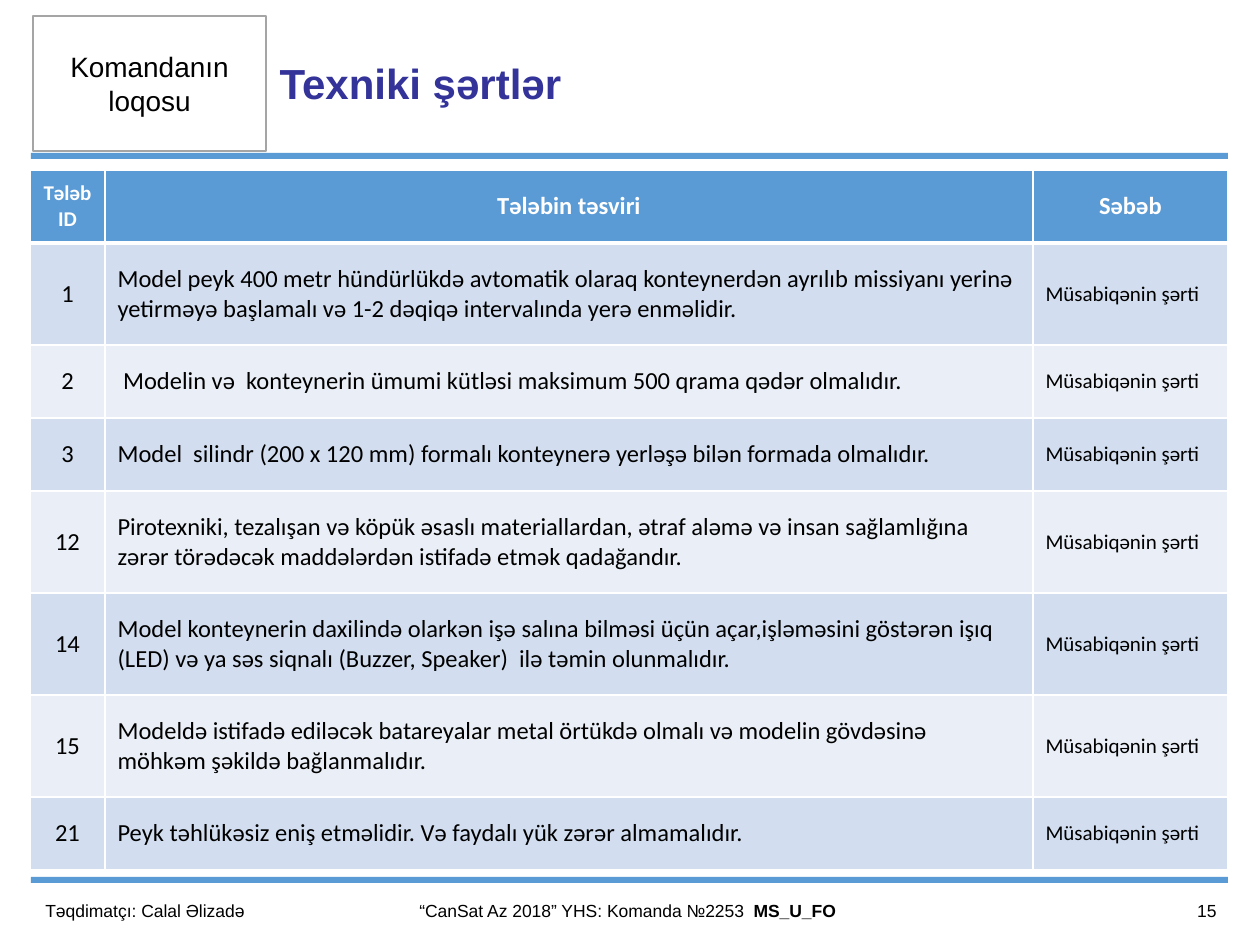
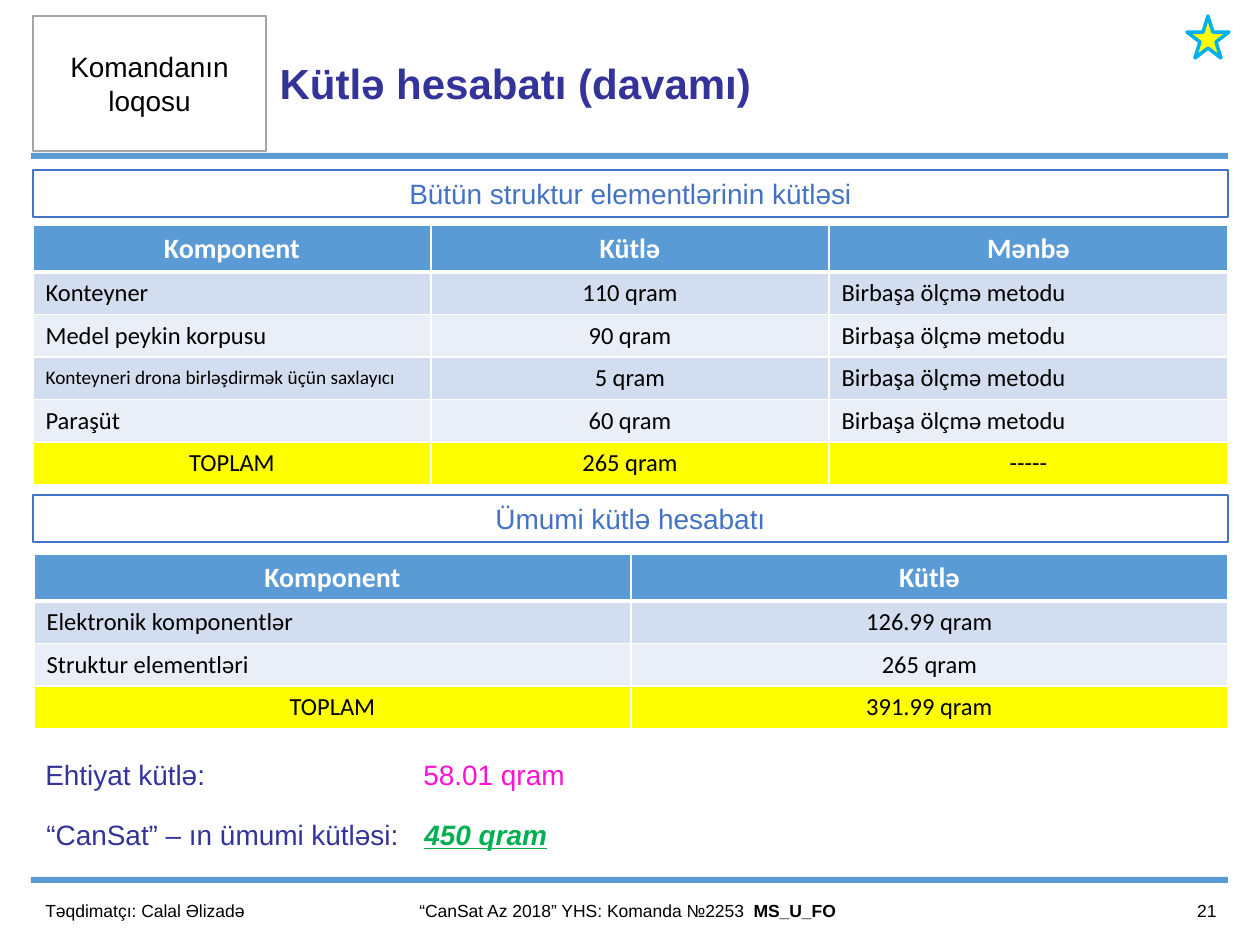
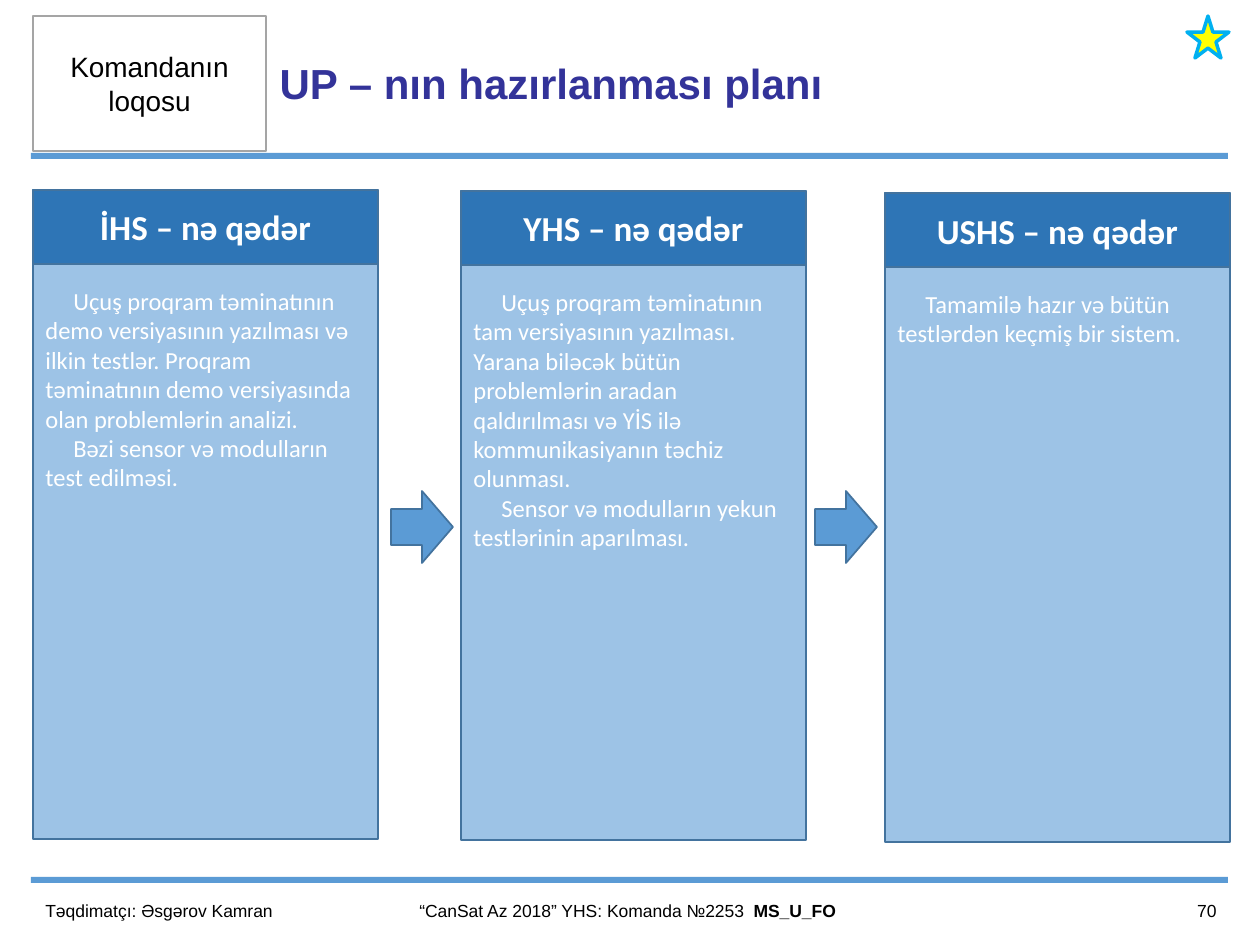
from dataclasses import dataclass, field
from typing import NamedTuple

from lxml.etree import SubElement
from pptx import Presentation
from pptx.dml.color import RGBColor
from pptx.enum.shapes import MSO_SHAPE
from pptx.enum.text import MSO_ANCHOR, MSO_AUTO_SIZE, PP_ALIGN
from pptx.oxml.ns import qn
from pptx.util import Emu, Pt

LEFT, CENTER, RIGHT = PP_ALIGN.LEFT, PP_ALIGN.CENTER, PP_ALIGN.RIGHT
PX_PER_INCH = 126


def px(length: int) -> Emu:
    return Emu(round(length * 914400 / PX_PER_INCH))


@dataclass(frozen=True)
class Theme:
    heading_font: str = "Arial"
    body_font: str = "Calibri"
    white: str = "FFFFFF"
    black: str = "000000"
    blue: str = "5B9BD5"
    navy: str = "333399"
    caption: str = "4472C4"
    gray: str = "A5A5A5"
    yellow: str = "FFFF00"
    star_line: str = "00B0F0"
    card_body: str = "9DC3E6"
    card_head: str = "2E75B6"
    card_line: str = "43739E"
    reserve: str = "FF11D2"
    total: str = "00B050"
    row_fills: tuple[str, str] = ("D2DEEF", "EAEFF7")
    title_size: int = 24
    card_size: int = 20
    large_size: int = 16
    text_size: int = 14
    note_size: int = 12
    small_size: int = 11
    footer_size: int = 10


THEME = Theme()


class Box(NamedTuple):
    left: int
    top: int
    width: int
    height: int

    def emu(self) -> list[Emu]:
        return [px(length) for length in self]


@dataclass(frozen=True)
class Style:
    size: int
    color: str = THEME.black
    name: str = THEME.heading_font
    bold: bool = False
    italic: bool = False
    underline: bool = False


@dataclass(frozen=True)
class Column:
    width: int
    align: PP_ALIGN = LEFT
    header_size: int = THEME.large_size
    size: int = THEME.text_size


@dataclass(frozen=True)
class Grid:
    left: int
    top: int
    columns: list[Column]
    heights: list[int]
    rows: list[tuple[str, ...]]
    has_total: bool = False
    sizes: dict[str, int] = field(default_factory=dict)


@dataclass(frozen=True)
class Card:
    left: int
    top: int
    heading: str
    paragraphs: list[str]


FOOTER = Style(THEME.footer_size)
LABEL = Style(THEME.large_size, THEME.navy)


# Text and shapes
def style_run(run, style: Style) -> None:
    font = run.font
    font.name, font.size = style.name, Pt(style.size)
    font.bold, font.italic, font.underline = style.bold, style.italic, style.underline
    font.color.rgb = RGBColor.from_string(style.color)


def write(text_frame, text: str, style: Style, align: PP_ALIGN = LEFT,
          anchor: MSO_ANCHOR = MSO_ANCHOR.MIDDLE) -> None:
    text_frame.word_wrap = True
    text_frame.auto_size = MSO_AUTO_SIZE.NONE
    text_frame.vertical_anchor = anchor
    text_frame.text = text
    for paragraph in text_frame.paragraphs:
        paragraph.alignment = align
        for run in paragraph.runs:
            style_run(run, style)


def add_text(slide, box: Box, text: str, style: Style, align: PP_ALIGN = LEFT):
    text_frame = slide.shapes.add_textbox(*box.emu()).text_frame
    write(text_frame, text, style, align)
    return text_frame.paragraphs[0]


def add_run(paragraph, text: str, style: Style) -> None:
    run = paragraph.add_run()
    run.text = text
    style_run(run, style)


def add_box(slide, box: Box, fill: str = "", line: str = "", line_width: float = 1,
            kind: MSO_SHAPE = MSO_SHAPE.RECTANGLE):
    shape = slide.shapes.add_shape(kind, *box.emu())
    shape.shadow.inherit = False
    if fill:
        shape.fill.solid()
        shape.fill.fore_color.rgb = RGBColor.from_string(fill)
    else:
        shape.fill.background()
    if line:
        shape.line.color.rgb = RGBColor.from_string(line)
        shape.line.width = Pt(line_width)
    else:
        shape.line.fill.background()
    return shape


# Frame shared by every slide
def add_framed_slide(presentation, title: str, presenter: str, number: int, starred: bool = True):
    slide = presentation.slides.add_slide(presentation.slide_layouts[5])
    for top in (153, 877):
        add_box(slide, Box(31, top, 1197, 6), THEME.blue)
    logo = add_box(slide, Box(33, 16, 233, 135), THEME.white, THEME.gray)
    write(logo.text_frame, "Komandanın loqosu", Style(THEME.large_size), CENTER)

    heading = slide.shapes.title
    heading.left, heading.top, heading.width, heading.height = Box(267, 16, 756, 134).emu()
    write(heading.text_frame, title, Style(THEME.title_size, THEME.navy, bold=True))
    if starred:
        add_box(slide, Box(1187, 16, 42, 42), THEME.yellow, THEME.star_line, 2,
                MSO_SHAPE.STAR_5_POINT)

    add_text(slide, Box(33, 886, 301, 50), f"Təqdimatçı: {presenter}", FOOTER)
    event = add_text(slide, Box(334, 886, 592, 50), "“CanSat Az 2018” YHS: Komanda №2253  ",
                     FOOTER, CENTER)
    add_run(event, "MS_U_FO ", Style(THEME.footer_size, bold=True))
    add_text(slide, Box(1103, 886, 126, 50), str(number), FOOTER, RIGHT)
    return slide


# Tables
def add_borders(cell, bottom_width: int) -> None:
    properties = cell._tc.get_or_add_tcPr()
    for side, width in (("L", 1), ("R", 1), ("T", 1), ("B", bottom_width)):
        line = SubElement(properties, qn(f"a:ln{side}"), w=str(Pt(width)))
        SubElement(SubElement(line, qn("a:solidFill")), qn("a:srgbClr"), val=THEME.white)


def add_grid(slide, grid: Grid) -> None:
    box = Box(grid.left, grid.top, sum(column.width for column in grid.columns), sum(grid.heights))
    table = slide.shapes.add_table(len(grid.rows), len(grid.columns), *box.emu()).table
    table.horz_banding = False
    for table_column, column in zip(table.columns, grid.columns):
        table_column.width = px(column.width)
    for row_index, (texts, height) in enumerate(zip(grid.rows, grid.heights)):
        table.rows[row_index].height = px(height)
        is_header = row_index == 0
        is_total = grid.has_total and row_index == len(grid.rows) - 1
        if is_header:
            fill = THEME.blue
        else:
            fill = THEME.yellow if is_total else THEME.row_fills[(row_index - 1) % 2]
        for column_index, (text, column) in enumerate(zip(texts, grid.columns)):
            cell = table.cell(row_index, column_index)
            add_borders(cell, 3 if is_header else 1)
            cell.fill.solid()
            cell.fill.fore_color.rgb = RGBColor.from_string(fill)
            cell.vertical_anchor = MSO_ANCHOR.MIDDLE
            cell.text_frame.text = text
            paragraph = cell.text_frame.paragraphs[0]
            paragraph.alignment = CENTER if is_header or is_total else column.align
            size = column.header_size if is_header else grid.sizes.get(text, column.size)
            color = THEME.white if is_header else THEME.black
            style_run(paragraph.runs[0], Style(size, color, THEME.body_font, bold=is_header))


# Requirements slide
def build_requirements(presentation) -> None:
    slide = add_framed_slide(presentation, "Texniki şərtlər", "Calal Əlizadə", 15, starred=False)
    requirements = [
        ("1", "Model peyk 400 metr hündürlükdə avtomatik olaraq konteynerdən ayrılıb missiyanı "
              "yerinə yetirməyə başlamalı və 1-2 dəqiqə intervalında yerə enməlidir."),
        ("2", " Modelin və  konteynerin ümumi kütləsi maksimum 500 qrama qədər olmalıdır."),
        ("3", "Model  silindr (200 x 120 mm) formalı konteynerə yerləşə bilən formada olmalıdır."),
        ("12", "Pirotexniki, tezalışan və köpük əsaslı materiallardan, ətraf aləmə və insan "
               "sağlamlığına zərər törədəcək maddələrdən istifadə etmək qadağandır."),
        ("14", "Model konteynerin daxilində olarkən işə salına bilməsi üçün açar,işləməsini "
               "göstərən işıq (LED) və ya səs siqnalı (Buzzer, Speaker)  ilə təmin olunmalıdır."),
        ("15", "Modeldə istifadə ediləcək batareyalar metal örtükdə olmalı və modelin gövdəsinə "
               "möhkəm şəkildə bağlanmalıdır."),
        ("21", "Peyk təhlükəsiz eniş etməlidir. Və faydalı yük zərər almamalıdır."),
    ]
    one_line, two_lines = 73, 102
    add_grid(slide, Grid(
        30, 170,
        [Column(75, CENTER, THEME.note_size),
         Column(928, LEFT, THEME.text_size),
         Column(195, LEFT, THEME.text_size, THEME.note_size)],
        [one_line, two_lines, one_line, one_line, two_lines, two_lines, two_lines, one_line],
        [("Tələb ID", "Tələbin təsviri", "Səbəb")]
        + [(number, text, "Müsabiqənin şərti") for number, text in requirements],
    ))


# Mass budget slide
def build_mass_budget(presentation) -> None:
    slide = add_framed_slide(presentation, "Kütlə hesabatı (davamı)", "Calal Əlizadə", 21)
    for top, caption in ((170, "Bütün struktur elementlərinin kütləsi"),
                         (495, "Ümumi kütlə hesabatı")):
        shape = add_box(slide, Box(33, top, 1195, 47), line=THEME.caption, line_width=0.75)
        write(shape.text_frame, caption, Style(THEME.large_size, THEME.caption), CENTER)

    holder = "Konteyneri drona birləşdirmək üçün saxlayıcı"
    masses = [("Konteyner", 110), ("Medel peykin korpusu", 90), (holder, 5), ("Paraşüt", 60)]
    header_height, row_height = 47, 42
    add_grid(slide, Grid(
        33, 225, [Column(398), Column(398, CENTER), Column(399)],
        [header_height] + [row_height] * 5,
        [("Komponent", "Kütlə", "Mənbə")]
        + [(name, f"{mass} qram", "Birbaşa ölçmə metodu") for name, mass in masses]
        + [("TOPLAM", "265 qram", "-----")],
        has_total=True, sizes={holder: THEME.small_size},
    ))
    add_grid(slide, Grid(
        34, 554, [Column(597), Column(597, CENTER)],
        [header_height] + [row_height] * 3,
        [("Komponent", "Kütlə"),
         ("Elektronik komponentlər", "126.99 qram"),
         ("Struktur elementləri", "265 qram"),
         ("TOPLAM", "391.99 qram")],
        has_total=True,
    ))

    total_style = Style(THEME.large_size, THEME.total, bold=True, italic=True, underline=True)
    for box, label, value, style in (
        (Box(33, 749, 607, 50), "Ehtiyat kütlə:", "58.01 qram",
         Style(THEME.large_size, THEME.reserve)),
        (Box(34, 809, 561, 50), "“CanSat” – ın ümumi kütləsi:", "450 qram", total_style),
    ):
        paragraph = add_text(slide, box, f"{label}\t", LABEL)
        tabs = SubElement(paragraph._p.get_or_add_pPr(), qn("a:tabLst"))
        SubElement(tabs, qn("a:tab"), pos=str(px(378)), algn="l")
        add_run(paragraph, value, style)


# Software plan slide
def add_card(slide, card: Card) -> None:
    body = add_box(slide, Box(card.left, card.top, 345, 649), THEME.card_body, THEME.card_line)
    body.text_frame.margin_top = px(96)
    write(body.text_frame, "\n".join(card.paragraphs),
          Style(THEME.text_size, THEME.white, THEME.body_font), anchor=MSO_ANCHOR.TOP)
    for paragraph in body.text_frame.paragraphs:
        properties = paragraph._p.get_or_add_pPr()
        properties.set("marL", "0")
        properties.set("indent", str(px(28)))
    head = add_box(slide, Box(card.left, card.top, 345, 74), THEME.card_head, THEME.card_line)
    write(head.text_frame, f"{card.heading} – nə qədər",
          Style(THEME.card_size, THEME.white, THEME.body_font, bold=True), CENTER)


def build_software_plan(presentation) -> None:
    slide = add_framed_slide(presentation, "UP – nın hazırlanması planı", "Əsgərov Kamran", 70)
    cards = [
        Card(33, 190, "İHS", [
            "Uçuş proqram təminatının demo versiyasının yazılması və ilkin testlər. Proqram "
            "təminatının demo versiyasında olan problemlərin analizi.",
            "Bəzi sensor və modulların test edilməsi."]),
        Card(461, 191, "YHS", [
            "Uçuş proqram təminatının tam versiyasının yazılması. Yarana biləcək bütün "
            "problemlərin aradan qaldırılması və YİS ilə kommunikasiyanın təchiz olunması.",
            "Sensor və modulların yekun testlərinin aparılması."]),
        Card(885, 193, "USHS", ["Tamamilə hazır və bütün testlərdən keçmiş bir sistem."]),
    ]
    for card in cards:
        add_card(slide, card)
    for card in cards[1:]:
        add_box(slide, Box(card.left - 70, 491, 62, 72), THEME.blue, THEME.card_line,
                kind=MSO_SHAPE.RIGHT_ARROW)


def main() -> None:
    presentation = Presentation()
    presentation.slide_width, presentation.slide_height = px(1260), px(945)
    build_requirements(presentation)
    build_mass_budget(presentation)
    build_software_plan(presentation)
    presentation.save("out.pptx")


if __name__ == "__main__":
    main()
